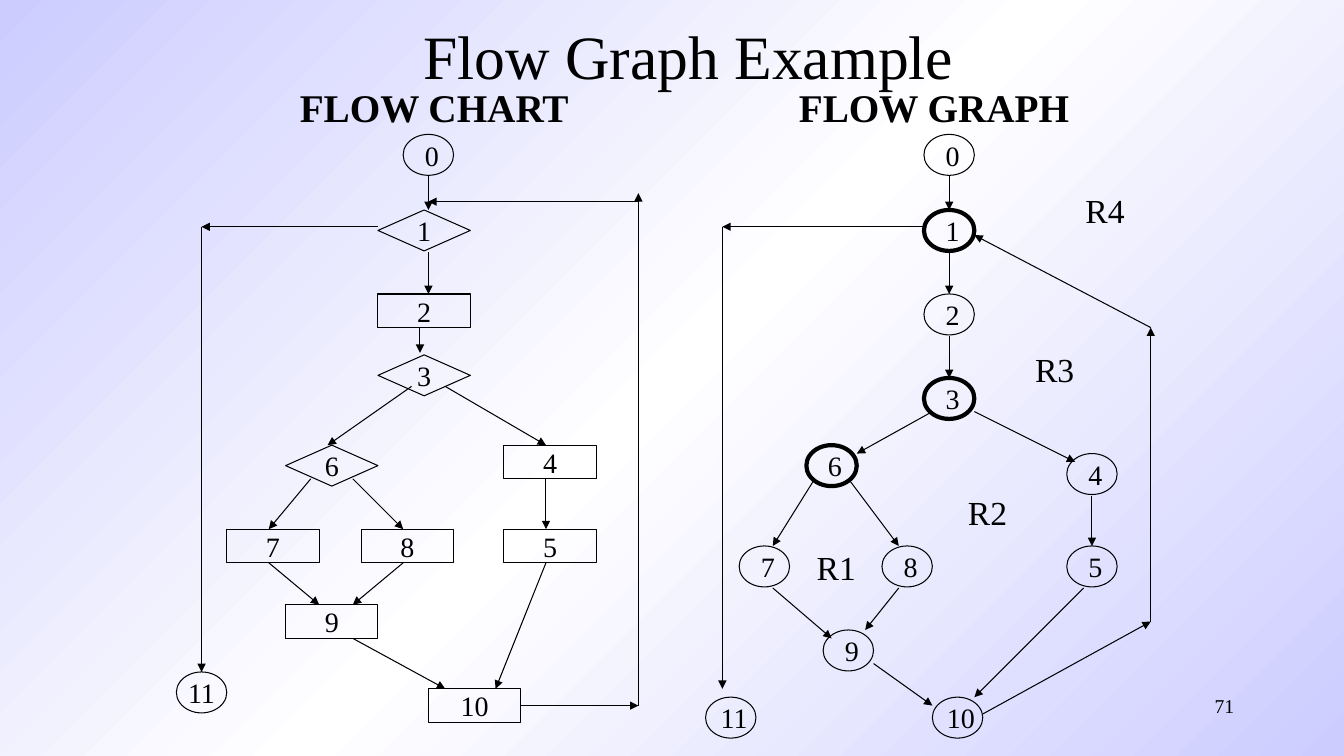
from copy import deepcopy
from itertools import pairwise

from lxml import etree
from pptx import Presentation, util as u
from pptx.dml.color import RGBColor
from pptx.enum import shapes, text
from pptx.oxml.ns import qn

PX = 9525  # EMU in one px, 96 px to the inch
PAGE_SIZE = (1280, 720)
FONT = "Times New Roman"
INK = "000000"
BACKGROUND = ["CCCCFF", "FFFFFF", "CCCCFF"]
THIN, THICK = 0.75, 3

# kind: preset shape, width, height, line width
KINDS = {
    "circle": (shapes.MSO_SHAPE.OVAL, 48, 39, THIN),
    "bold circle": (shapes.MSO_SHAPE.OVAL, 48, 39, THICK),
    "decision": (shapes.MSO_SHAPE.FLOWCHART_DECISION, 88, 39, THIN),
    "step": (shapes.MSO_SHAPE.RECTANGLE, 88, 32, THIN),
}

# kind: (label, left, top)
CHART_NODES = {
    "circle": [(" 0", 384, 128), ("11", 168, 640)],
    "decision": [("1", 360, 200), ("3", 360, 338), ("6", 272, 424)],
    "step": [("2", 360, 280), ("4", 480, 424), ("5", 480, 504), ("7", 216, 504),
             ("8", 344, 504), ("9", 272, 576), ("10", 408, 656)],
}
GRAPH_NODES = {
    "circle": [(" 0", 880, 128), (" 2", 880, 280), (" 4", 1016, 432), (" 5", 1016, 520),
               (" 7", 704, 520), (" 8", 840, 520), (" 9", 784, 600), (" 10", 888, 664),
               (" 11", 672, 664)],
    "bold circle": [(" 1", 880, 200), (" 3", 880, 360), (" 6", 768, 424)],
}

# each route is a chain of points with an arrowhead at every point after the first
CHART_ROUTES = [
    [(408, 168), (408, 200)],
    [(408, 240), (408, 280)],
    [(400, 312), (400, 336)],
    [(392, 368), (312, 424)],
    [(424, 368), (520, 424)],
    [(520, 456), (520, 504)],
    [(296, 456), (256, 504)],
    [(336, 456), (384, 504)],
    [(256, 536), (304, 576)],
    [(384, 536), (336, 576)],
    [(336, 608), (424, 656)],
    [(520, 536), (472, 656)],
    [(360, 216), (192, 216), (192, 640)],
    [(496, 672), (608, 672), (608, 184)],
    [(608, 192), (408, 192)],
]
GRAPH_ROUTES = [
    [(904, 168), (904, 200)],
    [(904, 240), (904, 280)],
    [(904, 320), (904, 360)],
    [(888, 392), (816, 432)],
    [(928, 392), (1024, 440)],
    [(776, 456), (736, 520)],
    [(808, 456), (856, 520)],
    [(736, 560), (792, 608)],
    [(856, 560), (824, 600)],
    [(832, 632), (888, 672)],
    [(1032, 560), (928, 664)],
    [(1040, 472), (1040, 520)],
    [(880, 216), (688, 216), (688, 656)],
    [(936, 680), (1096, 592), (1096, 312), (928, 224)],
]

# words, left, top, width, height, size, bold, wrap, alignment, anchor
CENTER, RIGHT = text.PP_ALIGN.CENTER, text.PP_ALIGN.RIGHT
TOP, MIDDLE = text.MSO_ANCHOR.TOP, text.MSO_ANCHOR.MIDDLE
TEXTS = [
    ("Flow Graph Example", 248, 0, 816, 104, 44, False, True, CENTER, MIDDLE),
    ("71", 918, 656, 267, 48, 14, False, True, RIGHT, TOP),
    ("FLOW CHART", 275, 75, 277, 55, 28, True, False, CENTER, TOP),
    ("FLOW GRAPH", 751, 75, 277, 55, 28, True, False, CENTER, TOP),
]
REGIONS = [("R1", 768, 516), ("R2", 912, 464), ("R3", 976, 328), ("R4", 1024, 176)]
TEXTS += [(*region, 57, 48, 24, False, False, CENTER, TOP) for region in REGIONS]


def px(*lengths):
    return [u.Emu(length * PX) for length in lengths]


def color(value):
    return RGBColor.from_string(value)


def paint_background(page):
    fill = page.background.fill
    fill.gradient()
    fill.gradient_angle = 315
    stops = page._element.find(".//" + qn("a:gsLst"))
    stops.insert(1, deepcopy(stops[0]))
    for index, (stop, value) in enumerate(zip(fill.gradient_stops, BACKGROUND)):
        stop.position = index / (len(BACKGROUND) - 1)
        stop.color.rgb = color(value)


def write(box, words, size, bold=False, wrap=False, align=CENTER, anchor=MIDDLE):
    frame = box.text_frame
    frame.word_wrap = wrap
    frame.vertical_anchor = anchor
    para = frame.paragraphs[0]
    para.alignment = align
    span = para.add_run()
    span.text = words
    span.font.name = FONT
    span.font.size = u.Pt(size)
    span.font.bold = bold
    span.font.color.rgb = color(INK)


def add_nodes(page, nodes):
    """Draw the nodes; return the side middles of the steps as {point: (node, side)}."""
    sides = {}
    for kind, places in nodes.items():
        preset, width, height, weight = KINDS[kind]
        for label, left, top in places:
            node = page.shapes.add_shape(preset, *px(left, top, width, height))
            node.shadow.inherit = False
            node.fill.background()
            node.line.color.rgb = color(INK)
            node.line.width = u.Pt(weight)
            write(node, label, 20)
            if kind == "step":
                middle, center = left + width // 2, top + height // 2
                points = [(middle, top), (left, center),
                          (middle, top + height), (left + width, center)]
                sides.update({point: (node, side) for side, point in enumerate(points)})
    return sides


def add_arrow(page, start, end, sides):
    arrow = page.shapes.add_connector(shapes.MSO_CONNECTOR.STRAIGHT, *px(*start, *end))
    arrow.line.color.rgb = color(INK)
    arrow.line.width = u.Pt(THIN)
    etree.SubElement(arrow.line._get_or_add_ln(), qn("a:tailEnd"), type="triangle")
    etree.SubElement(arrow._element.spPr, qn("a:effectLst"))
    if start in sides:
        arrow.begin_connect(*sides[start])
    if end in sides:
        arrow.end_connect(*sides[end])


def main():
    deck = Presentation()
    deck.slide_width, deck.slide_height = px(*PAGE_SIZE)
    page = deck.slides.add_slide(deck.slide_layouts[6])
    paint_background(page)
    for words, left, top, width, height, *style in TEXTS:
        write(page.shapes.add_textbox(*px(left, top, width, height)), words, *style)
    for nodes, routes in [(CHART_NODES, CHART_ROUTES), (GRAPH_NODES, GRAPH_ROUTES)]:
        sides = add_nodes(page, nodes)
        for route in routes:
            for start, end in pairwise(route):
                add_arrow(page, start, end, sides)
    deck.save("out.pptx")


if __name__ == "__main__":
    main()
